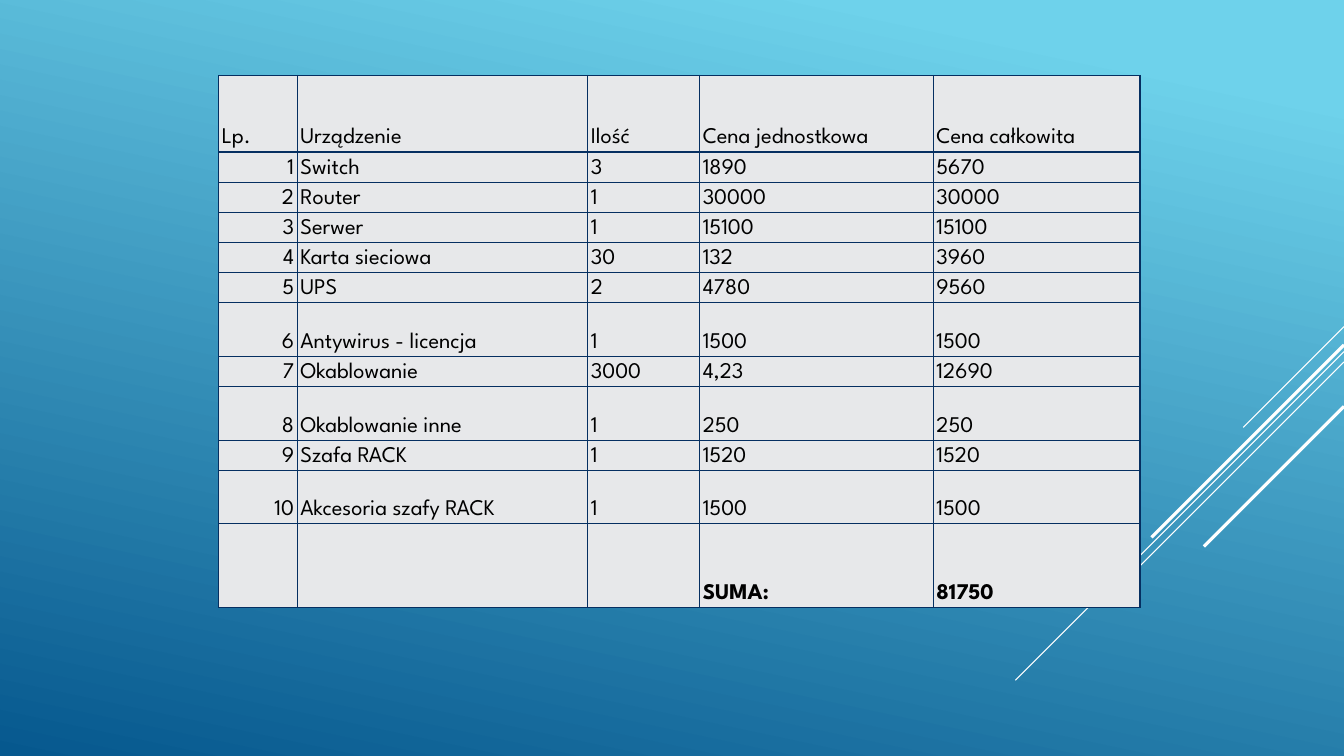
from lxml import etree
from pptx import Presentation
from pptx.dml.color import RGBColor
from pptx.enum.shapes import MSO_CONNECTOR as Connector
from pptx.enum.text import MSO_ANCHOR as Anchor, PP_ALIGN as Align
from pptx.oxml import parse_xml
from pptx.oxml.ns import nsdecls, qn
from pptx.util import Cm, Pt

SLIDE_W, SLIDE_H = 33.87, 19.05
FONT = "League Spartan"
BORDER, CELL_FILL = "052F61", "E7E8EA"

COLUMN_WIDTHS = [1.98, 7.32, 2.82, 5.89, 5.21]
HEADER_H, ROW_H, TALL_ROW_H, TOTAL_H = 1.93, 0.76, 1.35, 2.11
TALL_ROWS = {6, 8, 10}

HEADINGS = ["Lp.", "Urządzenie", "Ilość", "Cena jednostkowa", "Cena całkowita"]
DEVICES = [
    ("Switch", "3", "1890", "5670"),
    ("Router", "1", "30000", "30000"),
    ("Serwer", "1", "15100", "15100"),
    ("Karta sieciowa", "30", "132", "3960"),
    ("UPS", "2", "4780", "9560"),
    ("Antywirus - licencja", "1", "1500", "1500"),
    ("Okablowanie", "3000", "4,23", "12690"),
    ("Okablowanie inne", "1", "250", "250"),
    ("Szafa RACK", "1", "1520", "1520"),
    ("Akcesoria szafy RACK", "1", "1500", "1500"),
]
TOTAL = ["", "", "", "SUMA:", "81750"]

# Height at the right edge, horizontal reach, line width
RAYS = [
    (8.23, 2.54, 0.75),
    (8.86, 8.28, 0.75),
    (9.12, 5.27, 0.75),
    (8.69, 4.85, 2.25),
    (10.24, 3.53, 2.25),
]


def color(hex_code):
    return RGBColor.from_string(hex_code)


def paint_background(slide):
    fill = slide.background.fill
    fill.gradient()
    fill.gradient_angle = 258
    for stop, position, shade in zip(fill.gradient_stops, (0.1, 1), ("6ED2EB", "06588E")):
        stop.position = position
        stop.color.rgb = color(shade)


def add_ray(slide, top, reach, width):
    """Draw a 45-degree line running down and left from the right edge."""
    ray = slide.shapes.add_connector(
        Connector.STRAIGHT, Cm(SLIDE_W), Cm(top), Cm(SLIDE_W - reach), Cm(top + reach))
    ray.line.color.rgb = color("FFFFFF")
    ray.line.width = Pt(width)
    etree.SubElement(ray._element.spPr, qn("a:effectLst"))


def add_borders(cell):
    properties = cell._tc.get_or_add_tcPr()
    for index, side in enumerate("LRTB"):
        properties.insert(index, parse_xml(
            f'<a:ln{side} {nsdecls("a")} w="{Pt(1)}"><a:solidFill>'
            f'<a:srgbClr val="{BORDER}"/></a:solidFill></a:ln{side}>'))


def fill_cell(cell, text, align, bold):
    cell.fill.solid()
    cell.fill.fore_color.rgb = color(CELL_FILL)
    add_borders(cell)
    cell.vertical_anchor = Anchor.BOTTOM
    cell.margin_left = cell.margin_right = Cm(0.08)
    cell.margin_top = cell.margin_bottom = Cm(0.08)
    cell.text = text
    paragraph = cell.text_frame.paragraphs[0]
    paragraph.alignment = align
    paragraph.font.name = FONT
    paragraph.font.size = Pt(16)
    paragraph.font.bold = bold
    paragraph.font.color.rgb = color("000000")


def add_cost_table(slide):
    numbered = [(str(n), *device) for n, device in enumerate(DEVICES, 1)]
    rows = [HEADINGS, *numbered, TOTAL]
    heights = [HEADER_H]
    heights += [TALL_ROW_H if n in TALL_ROWS else ROW_H for n in range(1, len(DEVICES) + 1)]
    heights.append(TOTAL_H)

    costs = slide.shapes.add_table(
        len(rows), len(HEADINGS), Cm(5.51), Cm(1.9),
        Cm(sum(COLUMN_WIDTHS)), Cm(sum(heights))).table
    costs.first_row = costs.horz_banding = False
    for column, width in zip(costs.columns, COLUMN_WIDTHS):
        column.width = Cm(width)
    for r, (values, height) in enumerate(zip(rows, heights)):
        costs.rows[r].height = Cm(height)
        for c, value in enumerate(values):
            is_number = c == 0 and 0 < r <= len(DEVICES)
            fill_cell(costs.cell(r, c), value,
                      Align.RIGHT if is_number else Align.LEFT, values is TOTAL)


def main():
    prs = Presentation()
    prs.slide_width, prs.slide_height = Cm(SLIDE_W), Cm(SLIDE_H)
    slide = prs.slides.add_slide(prs.slide_layouts[6])

    # Backdrop
    paint_background(slide)
    for ray in RAYS:
        add_ray(slide, *ray)

    # Equipment costs
    add_cost_table(slide)
    prs.save("out.pptx")


if __name__ == "__main__":
    main()
